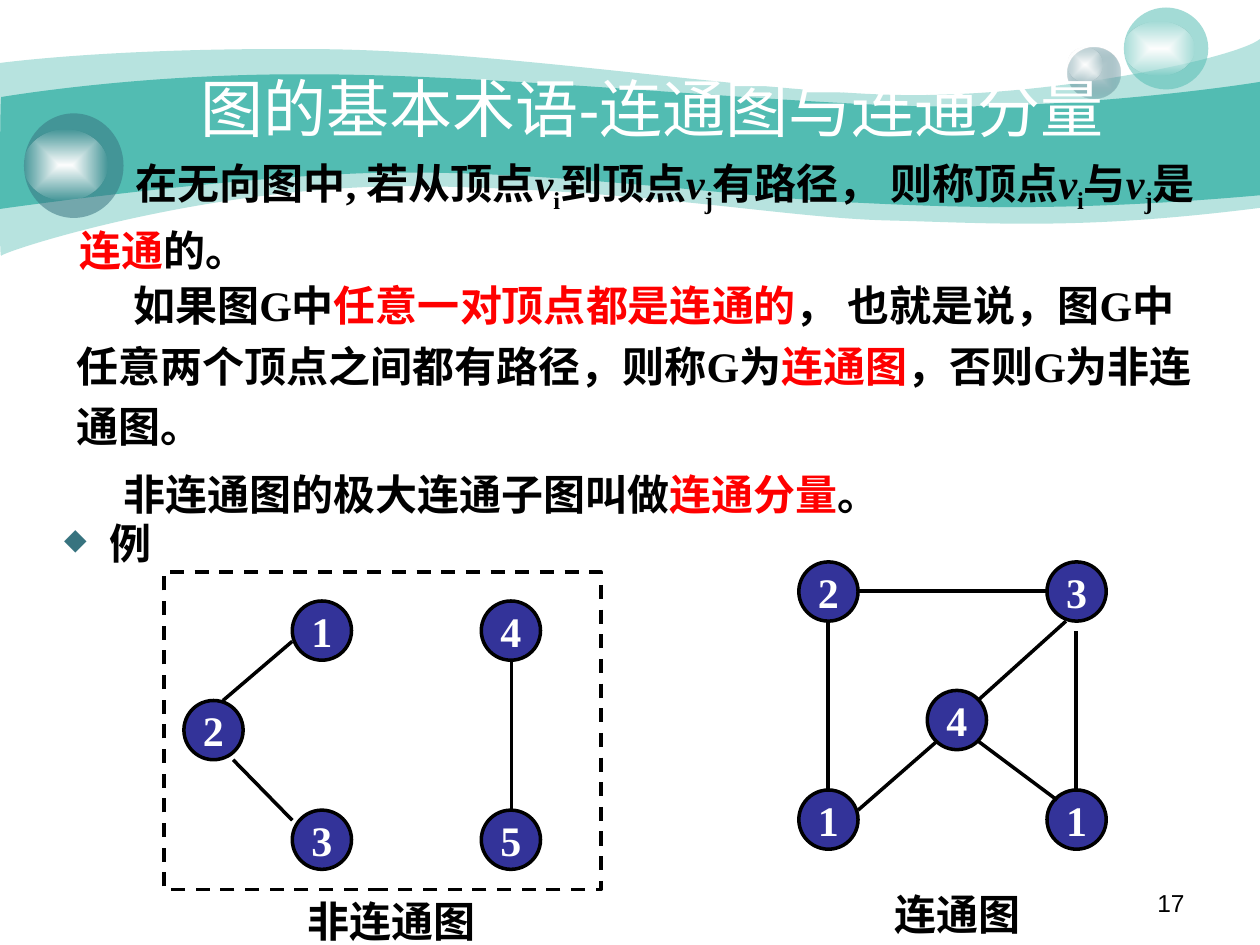
from lxml import etree
from pptx import Presentation
from pptx.dml.color import RGBColor
from pptx.enum.dml import MSO_LINE
from pptx.enum.shapes import MSO_CONNECTOR, MSO_SHAPE
from pptx.enum.text import MSO_ANCHOR, PP_ALIGN
from pptx.oxml import parse_xml
from pptx.oxml.ns import nsdecls, qn
from pptx.util import Inches, Pt

OVAL, RECT = MSO_SHAPE.OVAL, MSO_SHAPE.RECTANGLE
LEFT, CENTER, RIGHT = PP_ALIGN.LEFT, PP_ALIGN.CENTER, PP_ALIGN.RIGHT
TOP, MIDDLE = MSO_ANCHOR.TOP, MSO_ANCHOR.MIDDLE
DASH = MSO_LINE.DASH
STRAIGHT = MSO_CONNECTOR.STRAIGHT

THEME = {
    "teal": "52BCB2", "slate": "37737F", "mist": "CCDBDE", "white": "FFFFFF",
    "black": "000000", "red": "FF0000", "node": "333399",
    "serif": "Times New Roman", "sans": "Arial",
    "title": 36, "body": 24, "number": 14, "line": 2,
}
NODE = 0.47

WAVES = [
    (41, (0, 0.5), [
        [(0.24, 0.47), (1.07, 0.38), (2.47, 0.39)],
        [(3.86, 0.39), (5.75, 0.7), (6.99, 0.75)],
        [(8.22, 0.8), (9.8, 0.47), (10, 0.31)],
        [(10, 1.65)],
        [(8.58, 1.83), (7.87, 1.77), (7.05, 1.75)],
        [(6.22, 1.73), (5.15, 1.51), (3.43, 1.48)],
        [(1.72, 1.44), (0.04, 1.99), (0.01, 2.03)],
        [(-0.01, 2.08), (0, 0.75), (0, 0.5)],
    ]),
    (100, (0.01, 0.77), [
        [(0.02, 0.77), (1.1, 0.58), (2.48, 0.59)],
        [(3.86, 0.59), (5.95, 0.8), (7.18, 0.84)],
        [(8.41, 0.88), (9.76, 0.69), (10, 0.65)],
        [(10, 1.55)],
        [(8.53, 1.68), (7.65, 1.65), (6.82, 1.61)],
        [(5.99, 1.58), (4.47, 1.36), (3.17, 1.37)],
        [(2.03, 1.37), (-0.02, 1.66), (-0.01, 1.66)],
        [(0, 1.66), (0, 0.77), (0.01, 0.77)],
    ]),
]

GLOW = [("white", 100), ("white", 0)]
SPHERES = [
    ((8.47, 0.38, 0.42, 0.4), [("mist", 100), ("slate", 31)]),
    ((8.47, 0.38, 0.28, 0.27), GLOW),
    ((8.92, 0.06, 0.67, 0.65), [("teal", 53)]),
    ((8.92, 0.17, 0.56, 0.43), GLOW),
    ((0.19, 0.9, 0.79, 0.83), [("slate", 53)]),
    ((0.19, 1.03, 0.66, 0.56), GLOW),
]

V_I = [("v", "italic"), ("i", "sub")]
V_J = [("v", "italic"), ("j", "sub")]
BODY = [
    ((0.43, 3.59, 8.98, 0.58),
     [("非连通图的极大连通子图叫做", ""), ("连通分量", "red"), ("。", "")]),
    ((0.53, 1.11, 9.36, 1.19),
     [("在无向图中, 若从顶点", ""), *V_I, ("到顶点", ""), *V_J,
      ("有路径， 则称顶点", ""), *V_I, ("与", ""), *V_J,
      ("是", ""), ("连通", "red"), ("的。", "")]),
    ((0.51, 2.09, 9.14, 1.54),
     [("如果图G中", ""), ("任意一对顶点都是连通的", "red"),
      ("， 也就是说，图G中任意两个顶点之间都有路径，则称G为", ""),
      ("连通图", "red"), ("，否则G为非连通图。", "")]),
]
CAPTIONS = [((1.85, 7.06, 2.52, 0.5), "非连通图"), ((6.34, 7, 2.52, 0.5), "连通图")]

GRAPHS = [
    {"nodes": [("2", 6.34, 4.46), ("3", 8.31, 4.46), ("4", 7.36, 5.48),
               ("1", 6.34, 6.27), ("1", 8.31, 6.27)],
     "edges": [(6.81, 4.69, 8.31, 4.69), (6.57, 4.93, 6.57, 6.27),
               (8.46, 4.93, 7.76, 5.56), (7.44, 5.88, 6.81, 6.43),
               (7.76, 5.88, 8.39, 6.35), (8.54, 5.01, 8.54, 6.27)]},
    {"nodes": [("1", 2.32, 4.77), ("2", 1.46, 5.56), ("3", 2.32, 6.43),
               ("4", 3.82, 4.77), ("5", 3.82, 6.43)],
     "edges": [(1.85, 6.03, 2.32, 6.51), (2.32, 5.09, 1.77, 5.56),
               (4.06, 5.25, 4.06, 6.43)]},
]
FRAME = (1.3, 4.54, 3.47, 2.52)


def color(name):
    return RGBColor.from_string(THEME[name])


def solid(sp, name, alpha=100):
    sp.fill.solid()
    sp.fill.fore_color.rgb = color(name)
    if alpha < 100:
        clr = sp._element.spPr.find(qn("a:solidFill"))[0]
        etree.SubElement(clr, qn("a:alpha"), val=str(alpha * 1000))


def glow(sp, stops):
    gs = "".join(
        f'<a:gs pos="{pos}"><a:srgbClr val="{THEME[name]}">'
        f'<a:alpha val="{alpha * 1000}"/></a:srgbClr></a:gs>'
        for pos, (name, alpha) in zip((0, 100000), stops))
    grad = parse_xml(
        f'<a:gradFill {nsdecls("a")} rotWithShape="1"><a:gsLst>{gs}</a:gsLst>'
        '<a:path path="rect"><a:fillToRect l="50000" t="50000" r="50000" b="50000"/>'
        '</a:path></a:gradFill>')
    sp._element.spPr.find(qn("a:prstGeom")).addnext(grad)


def outline(line):
    line.color.rgb = color("black")
    line.width = Pt(THEME["line"])


def add_shape(s, kind, box):
    sp = s.shapes.add_shape(kind, *map(Inches, box))
    sp.shadow.inherit = False
    return sp


def add_wave(s, alpha, start, segments):
    fb = s.shapes.build_freeform(*map(Inches, start))
    fb.add_line_segments([tuple(map(Inches, seg[-1])) for seg in segments], close=True)
    sp = fb.convert_to_shape()
    sp.shadow.inherit = False
    solid(sp, "teal", alpha)
    sp.line.fill.background()
    steps = list(sp._element.spPr.iter(qn("a:lnTo")))
    for step, (*controls, _) in zip(steps, segments):
        if controls:
            curve = etree.Element(qn("a:cubicBezTo"))
            for x, y in controls:
                etree.SubElement(curve, qn("a:pt"), x=str(Inches(x) - sp.left),
                                 y=str(Inches(y) - sp.top))
            curve.append(step[0])
            step.getparent().replace(step, curve)


def write(p, runs, size="body", font="serif", ink="black", bold=True):
    for text, style in runs:
        r = p.add_run()
        r.text = text
        r.font.color.rgb = color("red" if style == "red" else ink)
        formats = {"name": THEME[font], "size": Pt(THEME[size]),
                   "bold": bold, "italic": style == "italic"}
        for key, value in formats.items():
            setattr(r.font, key, value)
        if style == "sub":
            r.font._element.set("baseline", "-25000")


def add_text(s, box, runs, align=LEFT, anchor=TOP, spacing=1.0, **style):
    tf = s.shapes.add_textbox(*map(Inches, box)).text_frame
    tf.word_wrap = True
    tf.vertical_anchor = anchor
    p = tf.paragraphs[0]
    p.alignment = align
    p.line_spacing = spacing
    write(p, runs, **style)
    return p


def indent(p, margin, first):
    pPr = p._p.get_or_add_pPr()
    pPr.set("marL", str(Inches(margin)))
    pPr.set("indent", str(Inches(first)))
    return pPr


def add_graph(s, graph):
    for label, x, y in graph["nodes"]:
        sp = add_shape(s, OVAL, (x, y, NODE, NODE))
        solid(sp, "node")
        outline(sp.line)
        tf = sp.text_frame
        tf.word_wrap = False
        tf.vertical_anchor = MIDDLE
        tf.paragraphs[0].alignment = CENTER
        write(tf.paragraphs[0], [(label, "")], ink="white")
    for edge in graph["edges"]:
        cx = s.shapes.add_connector(STRAIGHT, *map(Inches, edge))
        outline(cx.line)
        etree.SubElement(cx._element.spPr, qn("a:effectLst"))


def main():
    prs = Presentation()
    prs.slide_width, prs.slide_height = Inches(10), Inches(7.5)
    s = prs.slides.add_slide(prs.slide_layouts[6])

    for wave in WAVES:
        add_wave(s, *wave)
    for box, stops in SPHERES:
        sp = add_shape(s, OVAL, box)
        sp.line.fill.background()
        if len(stops) == 1:
            solid(sp, *stops[0])
        else:
            glow(sp, stops)

    add_text(s, (7.17, 7, 2.33, 0.35), [("17", "")], RIGHT,
             size="number", font="sans", bold=False)
    for box, runs in BODY:
        indent(add_text(s, box, runs, spacing=1.2), 0, 0.45)

    pPr = indent(add_text(s, (0.35, 4.06, 1.34, 0.5), [("例", "")]), 0.42, -0.36)
    bullet = etree.SubElement(pPr, qn("a:buClr"))
    etree.SubElement(bullet, qn("a:srgbClr"), val=THEME["slate"])
    etree.SubElement(pPr, qn("a:buSzPct"), val="70000")
    etree.SubElement(pPr, qn("a:buChar"), char="◆")

    for graph in GRAPHS:
        add_graph(s, graph)
    frame = add_shape(s, RECT, FRAME)
    frame.fill.background()
    outline(frame.line)
    frame.line.dash_style = DASH

    for box, text in CAPTIONS:
        add_text(s, box, [(text, "")], CENTER)
    add_text(s, (1.08, 0.54, 8.19, 0.63), [("图的基本术语-连通图与连通分量", "")],
             CENTER, MIDDLE, size="title", font="sans", ink="white", bold=False)
    prs.save("out.pptx")


if __name__ == "__main__":
    main()
